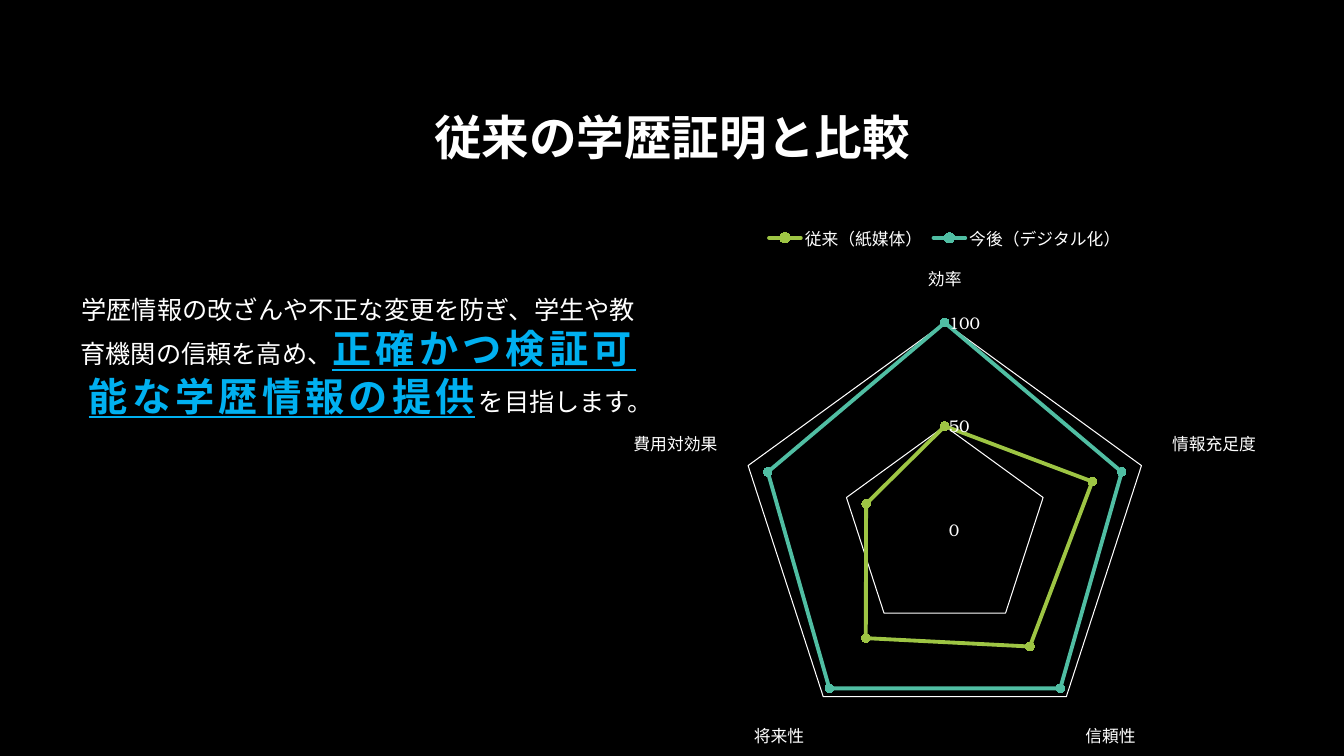
from lxml import etree
from pptx import Presentation, util as u
from pptx.chart.data import CategoryChartData
from pptx.dml.color import RGBColor
from pptx.enum import chart as ch, lang, text
from pptx.oxml.ns import qn

# Content
TITLE = "従来の学歴証明と比較"
BODY = [
    ("学歴情報の改ざんや不正な変更を防ぎ、学生や教育機関の信頼を高め、", "plain"),
    ("正確かつ検証可能な学歴情報の提供", "key"),
    ("を目指します。", "plain"),
]
CATEGORIES = ["効率", "情報充足度", "信頼性", "将来性", "費用対効果"]
SERIES = [
    ("従来（紙媒体）", [50, 75, 70, 65, 40], "paper", "paper_dot"),
    ("今後（デジタル化）", [100, 90, 95, 95, 90], "digital", "digital_dot"),
]

# Look
COLORS = {
    "back": "000000", "white": "FFFFFF", "accent": "00B0F0",
    "paper": "9EC544", "paper_dot": "9ECF2E",
    "digital": "50BEA3", "digital_dot": "3EC4A3",
}
FONT = "TeX Gyre Bonum"
FORMATS = {
    "title": {"size": 34, "bold": True, "color": "white"},
    "plain": {"size": 18, "bold": False, "color": "white"},
    "key": {"size": 28, "bold": True, "underline": True, "color": "accent"},
    "chart": {"size": 12, "color": "white"},
}
KEY_SPACING = 300  # hundredths of a point

# Shares of the slide: left, top, width, height
W, H = 13.33, 7.5
TITLE_BOX = (0.075, 0.09, 0.85, 0.19)
BODY_BOX = (0.052, 0.383, 0.429, 0.26)
CHART_BOX = (0.406, 0.283, 0.594, 0.721)


def place(box):
    return [u.Inches(share * side) for share, side in zip(box, (W, H, W, H))]


def rgb(name):
    return RGBColor.from_string(COLORS[name])


def style(font, kind):
    font.name = FONT
    for key, value in FORMATS[kind].items():
        if key == "color":
            font.color.rgb = rgb(value)
        else:
            setattr(font, key, u.Pt(value) if key == "size" else value)


def add_text(slide, box, runs, anchor, line_spacing=None):
    tf = slide.shapes.add_textbox(*place(box)).text_frame
    tf.word_wrap = True
    tf.vertical_anchor = anchor
    p = tf.paragraphs[0]
    p.alignment = text.PP_ALIGN.CENTER
    p.line_spacing = line_spacing
    for words, kind in runs:
        r = p.add_run()
        r.text = words
        style(r.font, kind)
        r.font.language_id = lang.MSO_LANGUAGE_ID.JAPANESE
        if kind == "key":
            r.font._element.set("spc", str(KEY_SPACING))


prs = Presentation()
prs.slide_width, prs.slide_height = u.Inches(W), u.Inches(H)
slide = prs.slides.add_slide(prs.slide_layouts[6])
slide.background.fill.solid()
slide.background.fill.fore_color.rgb = rgb("back")

# Title
add_text(slide, TITLE_BOX, [(TITLE, "title")], text.MSO_ANCHOR.MIDDLE, 0.9)

# Radar chart
data = CategoryChartData()
data.categories = CATEGORIES
for name, values, *_ in SERIES:
    data.add_series(name, values)
chart = slide.shapes.add_chart(
    ch.XL_CHART_TYPE.RADAR_MARKERS, *place(CHART_BOX), data).chart
chart.has_title = False
chart.has_legend = True
chart.legend.position = ch.XL_LEGEND_POSITION.TOP
chart.legend.include_in_layout = False
for part in (chart, chart.legend):
    style(part.font, "chart")

# Axes
cat, val = chart.category_axis, chart.value_axis
for axis in (cat, val):
    style(axis.tick_labels.font, "chart")
    axis.major_tick_mark = axis.minor_tick_mark = ch.XL_TICK_MARK.NONE
cat.has_major_gridlines = False
val.has_major_gridlines = True
val.minimum_scale, val.maximum_scale, val.major_unit = 0, 100, 50
val.format.line.fill.background()
for line, width in ((cat.format.line, 1), (val.major_gridlines.format.line, 0.75)):
    line.color.rgb = rgb("white")
    line.width = u.Pt(width)

# Series lines and markers
for series, (_, _, color, dot) in zip(chart.plots[0].series, SERIES):
    series.format.line.color.rgb = rgb(color)
    series.format.line.width = u.Pt(2.75)
    ln = series.format.line._get_or_add_ln()
    ln.set("cap", "rnd")
    etree.SubElement(ln, qn("a:round"))
    marker = series.marker
    marker.style, marker.size = ch.XL_MARKER_STYLE.CIRCLE, 6
    marker.format.fill.solid()
    marker.format.fill.fore_color.rgb = rgb(dot)
    marker.format.line.fill.background()

# Body text
add_text(slide, BODY_BOX, BODY, text.MSO_ANCHOR.TOP)

prs.save("out.pptx")
